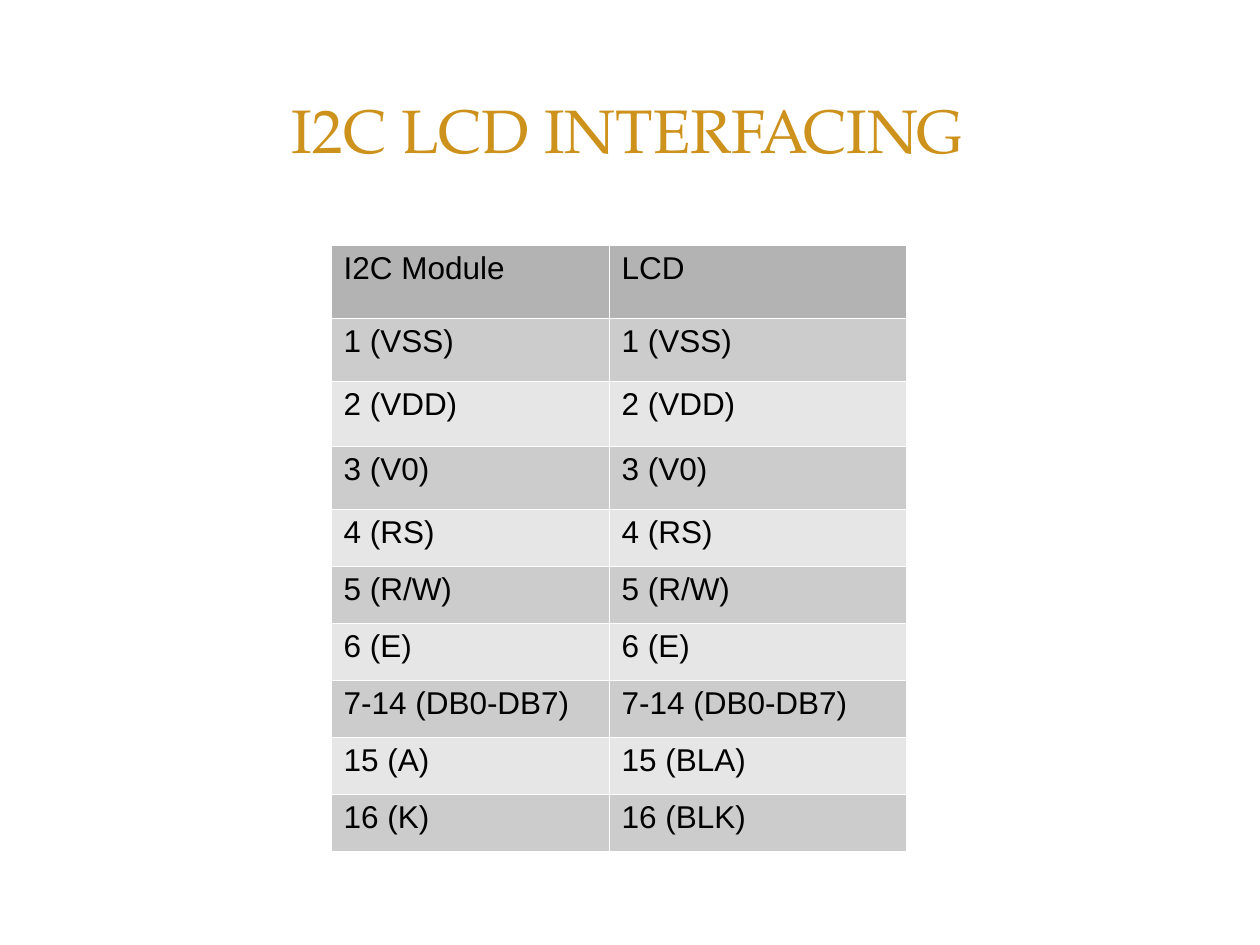
import pptx
import pptx.util
import pptx.dml.color
import pptx.enum.text
import pptx.oxml
import pptx.oxml.ns

HUES = {"gold": "CD921B", "ink": "000000", "head": "B3B3B3",
        "dark": "CCCCCC", "light": "E6E6E6", "line": "FFFFFF"}
FORMS = {
    "title": {"name": "TeX Gyre Pagella", "size": pptx.util.Pt(35), "bold": False},
    "cell": {"name": "Arial", "size": pptx.util.Pt(18), "bold": False},
}
SCALE = 914400 // 126


def color(hue):
    return pptx.dml.color.RGBColor.from_string(HUES[hue])


class Board:
    def __init__(self, deck):
        self.slide = deck.slides.add_slide(deck.slide_layouts[5])

    def style(self, para, form, hue):
        for key, value in FORMS[form].items():
            setattr(para.font, key, value)
        para.font.color.rgb = color(hue)

    def title(self, text, box):
        shape = self.slide.shapes.title
        for key, value in zip(("left", "top", "width", "height"), box):
            setattr(shape, key, value * SCALE)
        frame = shape.text_frame
        frame.text = text
        frame.word_wrap = True
        frame.vertical_anchor = pptx.enum.text.MSO_ANCHOR.MIDDLE
        para = frame.paragraphs[0]
        para.alignment = pptx.enum.text.PP_ALIGN.CENTER
        self.style(para, "title", "gold")

    def border(self, cell):
        props = cell._tc.get_or_add_tcPr()
        for spot, side in enumerate(("lnL", "lnR", "lnT", "lnB")):
            props.insert(spot, pptx.oxml.parse_xml(
                f'<a:{side} {pptx.oxml.ns.nsdecls("a")} w="762"><a:solidFill>'
                f'<a:srgbClr val="{HUES["line"]}"/></a:solidFill></a:{side}>'))

    def table(self, rows, spot, wide, high):
        left, top = spot
        sizes = [left, top, sum(wide), sum(high)]
        grid = self.slide.shapes.add_table(
            len(rows), len(wide), *(size * SCALE for size in sizes)).table
        for col, width in zip(grid.columns, wide):
            col.width = width * SCALE
        for index, (row, height) in enumerate(zip(grid.rows, high)):
            row.height = height * SCALE
            hue = "head" if index == 0 else "dark" if index % 2 else "light"
            for cell, text in zip(row.cells, rows[index]):
                cell.text = text
                cell.fill.solid()
                cell.fill.fore_color.rgb = color(hue)
                self.style(cell.text_frame.paragraphs[0], "cell", "ink")
                self.border(cell)


deck = pptx.Presentation()
deck.slide_width = 1260 * SCALE
deck.slide_height = 945 * SCALE

board = Board(deck)
board.title("I2C LCD INTERFACING", (59, 57, 1138, 144))
same = ["1 (VSS)", "2 (VDD)", "3 (V0)", "4 (RS)", "5 (R/W)", "6 (E)",
        "7-14 (DB0-DB7)"]
pins = [("I2C Module", "LCD"), *((pin, pin) for pin in same),
        ("15 (A)", "15 (BLA)"), ("16 (K)", "16 (BLK)")]
board.table(pins, (331, 245), [278, 297], [73, 63, 65, 63] + [57] * 6)
deck.save("out.pptx")
